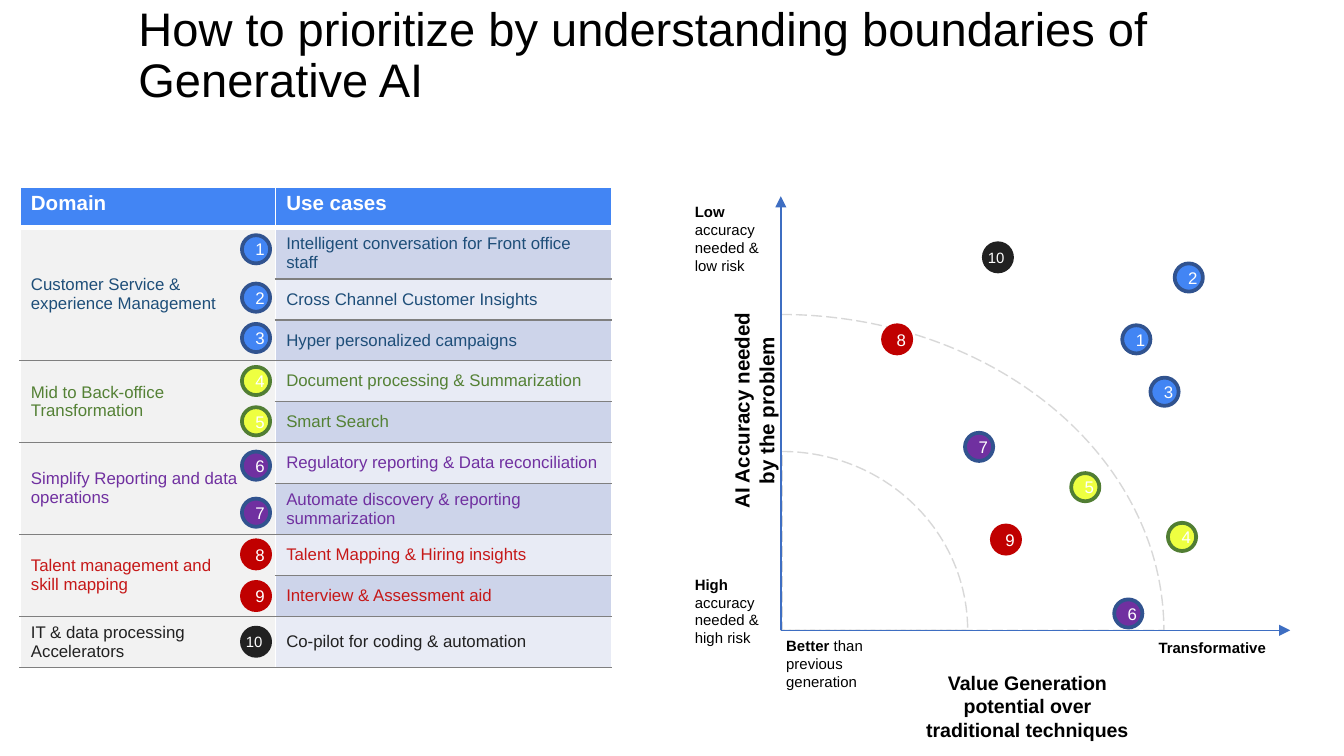
from dataclasses import dataclass

from lxml import etree
from pptx import Presentation
from pptx.dml.color import RGBColor
from pptx.enum.dml import MSO_LINE
from pptx.enum.shapes import MSO_CONNECTOR, MSO_SHAPE
from pptx.enum.text import MSO_ANCHOR, MSO_AUTO_SIZE, PP_ALIGN
from pptx.oxml.ns import qn
from pptx.util import Inches, Pt

LEFT, CENTER = PP_ALIGN.LEFT, PP_ALIGN.CENTER
TOP, MIDDLE = MSO_ANCHOR.TOP, MSO_ANCHOR.MIDDLE
FIT_TEXT = MSO_AUTO_SIZE.SHAPE_TO_FIT_TEXT
LONG_DASH = MSO_LINE.LONG_DASH
ELLIPSE, PIE = MSO_SHAPE.OVAL, MSO_SHAPE.PIE
STRAIGHT = MSO_CONNECTOR.STRAIGHT

WIDTH = Inches(10)
HEIGHT = WIDTH * 9 // 16
COLUMN, ROW = WIDTH / 100, HEIGHT / 56.25


@dataclass(frozen=True)
class Theme:
    font: str = "Arial"
    ink: str = "000000"
    paper: str = "FFFFFF"
    header: str = "4285F4"
    domain: str = "F2F2F2"
    bands: tuple = ("CDD4EA", "E8EBF5")
    rule: str = "7F7F7F"
    arc: str = "D8D8D8"
    axis: str = "3E6EC2"
    title: float = 25.2
    heading: float = 11
    caption: float = 10.5
    body: float = 9
    small: float = 8


THEME = Theme()

BLUE = ("4285F4", "31538F")
LIME = ("EEFF41", "517E33")
PURPLE = ("7030A0", "31538F")
RED = ("C00000", "C00000")
BLACK = ("212121", "212121")

DOMAINS = [
    ("Customer Service & experience Management", "1E4E79", BLUE,
     ["Intelligent conversation for Front office staff",
      "Cross Channel Customer Insights", "Hyper personalized campaigns"]),
    ("Mid to Back-office Transformation", "548135", LIME,
     ["Document processing & Summarization", "Smart Search"]),
    ("Simplify Reporting and data operations", "7030A0", PURPLE,
     ["Regulatory reporting & Data reconciliation",
      "Automate discovery & reporting summarization"]),
    ("Talent management and\nskill mapping", "C61818", RED,
     ["Talent Mapping & Hiring insights", "Interview & Assessment aid"]),
    ("IT & data processing Accelerators", "212121", BLACK,
     ["Co-pilot for coding & automation"]),
]
TWO_LINE_ROWS = (1, 7, 10)
TABLE_LEFT, TABLE_TOP = 1.5, 13.9
TABLE_COLUMNS = (19, 25)
ROW_HEIGHT, TWO_LINE_HEIGHT = 33.5 / 11, 3.75

BADGE_SIZE, BADGE_COLUMN = 2.1, 18
BADGE_ROWS = (17.5, 21.1, 24.1, 27.3, 30.3, 33.6, 37.1, 40.2, 43.3, 46.7)
PLOT_PLACES = [(83.5, 24.2), (87.4, 19.6), (85.6, 28.1), (86.9, 38.9),
               (79.7, 35.2), (82.9, 44.6), (71.8, 32.2), (65.7, 24.2),
               (73.8, 39.1), (73.2, 18.1)]
ORIGIN = (58.1, 46.9)
AXIS_ENDS = [(58.1, 14.6), (96, 46.9)]
ARCS = [(44.9, 33.1, 26.6, 27.6), (34.6, 18.4, 47, 57)]

CAPTIONS = [
    ((51, 14.7, 7.1, 6.1), [("Low ", True), ("accuracy needed & low risk", False)]),
    ((51, 42.4, 7.3, 6.1), [("High", True), (" accuracy needed & high risk", False)]),
    ((57.8, 47, 9.6, 4.8), [("Better ", True), ("than previous generation", False)]),
    ((85.5, 47.1, 10.2, 2.1), [("Transformative", True)]),
]


def color(code):
    return RGBColor.from_string(code)


def place(left, top, width, height):
    return (round(left * COLUMN), round(top * ROW),
            round(width * COLUMN), round(height * ROW))


def style_span(span, size, code, bold=False):
    span.font.name = THEME.font
    span.font.size = Pt(size)
    span.font.bold = bold
    span.font.color.rgb = color(code)


def set_text(frame, text, size, code, bold=False, align=LEFT):
    frame.text = text
    for para in frame.paragraphs:
        para.alignment = align
        for span in para.runs:
            style_span(span, size, code, bold)


def set_insets(frame):
    frame.word_wrap = True
    frame.margin_left = frame.margin_right = Inches(0.07)
    frame.margin_top = frame.margin_bottom = Inches(0.04)


def add_text(page, area, spans, size, code=THEME.ink, align=LEFT,
             anchor=TOP, rotation=0):
    box = page.shapes.add_textbox(*place(*area))
    box.rotation = rotation
    frame = box.text_frame
    set_insets(frame)
    frame.vertical_anchor = anchor
    if anchor == TOP:
        frame.auto_size = FIT_TEXT
    para = frame.paragraphs[0]
    para.alignment = align
    for text, bold in spans:
        span = para.add_run()
        span.text = text
        style_span(span, size, code, bold)
    return box


def set_borders(cell, top, bottom, bottom_width=1):
    properties = cell._tc.get_or_add_tcPr()
    edges = [("a:lnL", THEME.paper, 1), ("a:lnR", THEME.paper, 1),
             ("a:lnT", top, 1), ("a:lnB", bottom, bottom_width)]
    for tag, code, width in edges:
        line = etree.SubElement(properties, qn(tag), w=str(Pt(width)))
        fill = etree.SubElement(line, qn("a:solidFill"))
        etree.SubElement(fill, qn("a:srgbClr"), val=code)


def paint_cell(cell, fill, anchor=MIDDLE):
    cell.fill.solid()
    cell.fill.fore_color.rgb = color(fill)
    cell.vertical_anchor = anchor
    cell.margin_left = cell.margin_right = Inches(0.08)
    cell.margin_top = cell.margin_bottom = Inches(0.04)


def add_use_case_table(page):
    row_count = 1 + sum(len(cases) for *_, cases in DOMAINS)
    area = place(TABLE_LEFT, TABLE_TOP, sum(TABLE_COLUMNS), 35.6)
    table = page.shapes.add_table(row_count, 2, *area).table
    for column, width in zip(table.columns, TABLE_COLUMNS):
        column.width = round(width * COLUMN)
    for index, row in enumerate(table.rows):
        height = TWO_LINE_HEIGHT if index in TWO_LINE_ROWS else ROW_HEIGHT
        row.height = round(height * ROW)
        for column, cell in enumerate(row.cells):
            if index == 0:
                set_borders(cell, THEME.paper, THEME.paper, 3)
                paint_cell(cell, THEME.header, TOP)
            else:
                set_borders(cell, THEME.paper if index == 1 else THEME.rule, THEME.rule)
                paint_cell(cell, THEME.bands[(index - 1) % 2] if column else THEME.domain)
    for cell, heading in zip(table.rows[0].cells, ("Domain", "Use cases")):
        set_text(cell.text_frame, heading, THEME.heading, THEME.paper, True)
    first = 1
    for domain, ink, _, cases in DOMAINS:
        last = first + len(cases) - 1
        if last > first:
            table.cell(first, 0).merge(table.cell(last, 0))
        set_text(table.cell(first, 0).text_frame, domain, THEME.body, ink)
        for index, case in enumerate(cases, first):
            set_text(table.cell(index, 1).text_frame, case, THEME.body, ink)
        first = last + 1


def add_arc(page, area):
    arc = page.shapes.add_shape(PIE, *place(*area))
    arc.adjustments[0], arc.adjustments[1] = 108, 162
    arc.rotation = 90
    arc.shadow.inherit = False
    arc.fill.background()
    arc.line.color.rgb = color(THEME.arc)
    arc.line.width = Pt(0.75)
    arc.line.dash_style = LONG_DASH


def add_badge(page, number, left, top, colors):
    badge = page.shapes.add_shape(ELLIPSE, *place(left, top, BADGE_SIZE, BADGE_SIZE))
    badge.shadow.inherit = False
    badge.fill.solid()
    badge.fill.fore_color.rgb, badge.line.color.rgb = map(color, colors)
    badge.line.width = Pt(2)
    if number < 10:
        set_insets(badge.text_frame)
        badge.text_frame.vertical_anchor = MIDDLE
        set_text(badge.text_frame, str(number), THEME.body, THEME.paper, align=CENTER)
    else:
        add_text(page, (left - 0.4, top, 3.1, BADGE_SIZE), [(str(number), False)],
                 THEME.small, THEME.paper)


def add_axis(page, end):
    start_x, start_y, end_x, end_y = place(*ORIGIN, *end)
    axis = page.shapes.add_connector(STRAIGHT, start_x, start_y, end_x, end_y)
    axis.line.color.rgb = color(THEME.axis)
    axis.line.width = Pt(0.75)
    etree.SubElement(axis.line._get_or_add_ln(), qn("a:tailEnd"), type="triangle")
    etree.SubElement(axis._element.spPr, qn("a:effectLst"))


def main():
    deck = Presentation()
    deck.slide_width, deck.slide_height = WIDTH, HEIGHT
    page = deck.slides.add_slide(deck.slide_layouts[6])
    title = add_text(page, (9.6, 1.7, 87.2, 5.1),
                     [("How to prioritize by understanding boundaries of Generative AI", False)],
                     THEME.title, anchor=MIDDLE)
    title.text_frame.paragraphs[0].line_spacing = 0.9
    add_text(page, (67.9, 49.5, 17.1, 6.1),
             [("Value Generation potential over traditional techniques", True)],
             THEME.caption, align=CENTER)
    for area, spans in CAPTIONS:
        add_text(page, area, spans, THEME.small)
    add_use_case_table(page)
    for area in ARCS:
        add_arc(page, area)
    badge_colors = [colors for _, _, colors, cases in DOMAINS for _ in cases]
    table_places = [(BADGE_COLUMN, top) for top in BADGE_ROWS]
    for places in (PLOT_PLACES, table_places):
        for number, (spot, colors) in enumerate(zip(places, badge_colors), 1):
            add_badge(page, number, *spot, colors)
    for end in AXIS_ENDS:
        add_axis(page, end)
    add_text(page, (47.2, 28.3, 17.8, 4.5), [("AI Accuracy needed by the problem", True)],
             THEME.heading, align=CENTER, rotation=270)
    deck.save("out.pptx")


if __name__ == "__main__":
    main()
